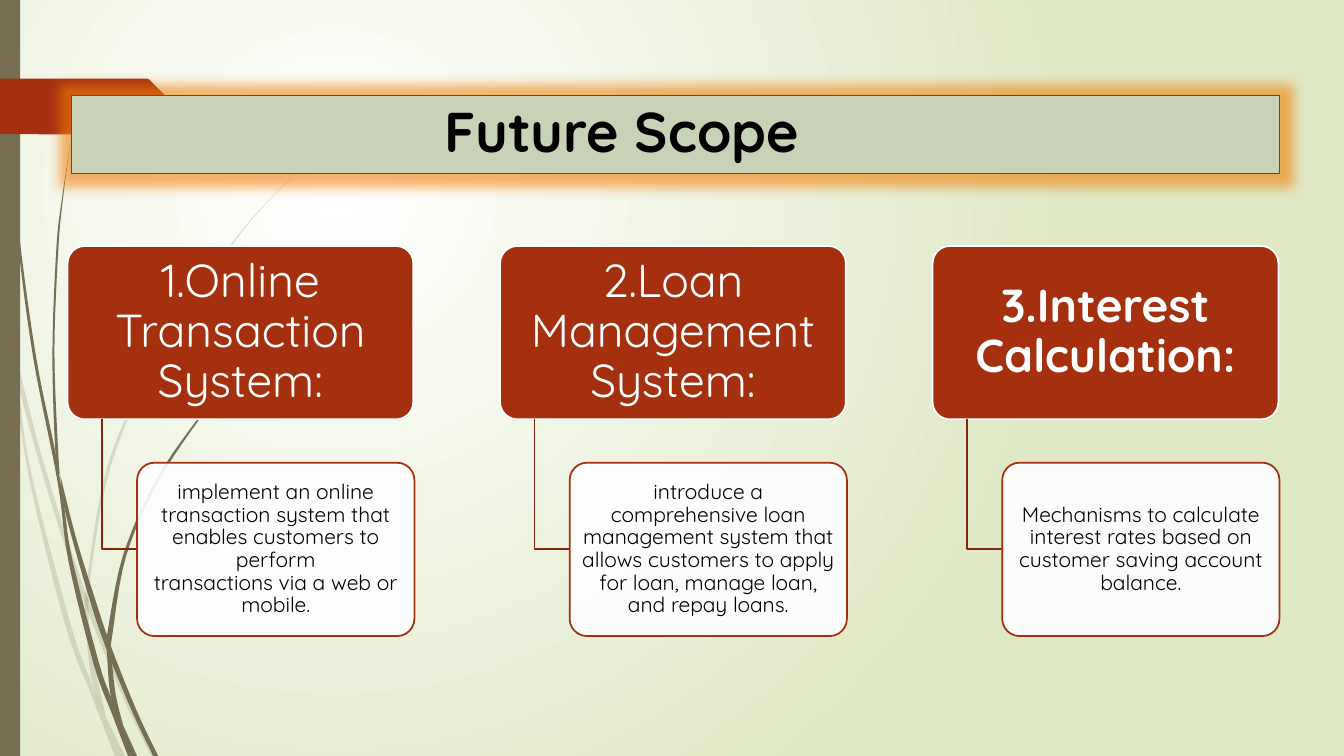
import pptx
import pptx.dml.color
import pptx.enum.shapes
import pptx.enum.text
import pptx.oxml
import pptx.oxml.ns
import pptx.util
from pptx.util import Inches

FONT = "Quicksand"
RUST, OLIVE = "A53010", "766F54"
A_NS = pptx.oxml.ns.nsdecls("a")

SCOPE = [
    ("1.Online Transaction System:", False,
     "implement an online transaction system that enables customers to perform\v"
     "transactions via a web or mobile."),
    ("2.Loan Management System:", False,
     "introduce a comprehensive loan management system that allows customers "
     "to apply for loan, manage loan, and repay loans."),
    ("3.Interest Calculation:", True,
     "Mechanisms to calculate interest rates based on customer saving account balance."),
]

PALE_STRANDS = [
    ([(0, 2.99), (0.11, 3.5), (0.28, 4.7), (0.65, 6.21), (0.92, 6.93), (1.14, 7.5)],
     [(0, 2.82), (0.09, 3.22), (0.17, 3.76), (0.31, 4.69), (0.7, 6.19), (0.93, 6.83),
      (1.05, 7.11), (1.24, 7.5)]),
    ([(0.14, 3.45), (0.17, 3.76), (0.36, 4.49), (0.58, 5.22), (0.84, 5.99), (1.23, 6.94),
      (1.5, 7.5)],
     [(0.14, 3.45), (0.36, 4.33), (0.62, 5.2), (0.92, 6.07), (1.27, 6.92), (1.55, 7.5)]),
    ([(3.12, 1.53), (2.68, 1.97), (2.28, 2.44), (1.58, 3.48), (1.07, 4.61), (0.85, 5.84)],
     [(3.12, 1.54), (2.68, 1.98), (2.29, 2.45), (1.6, 3.49), (1.1, 4.62), (0.88, 5.84),
      (0.88, 5.96)]),
    ([(0.85, 5.86), (0.84, 5.99), (0.87, 6.46), (0.93, 6.83), (1.05, 7.11)],
     [(0.88, 5.96), (0.88, 6.1), (0.91, 6.46), (1.05, 7.11)]),
]
DARK_STRANDS = [
    ([(0.03, 0), (0.04, 0.48), (0.07, 1.1), (0.17, 2.33), (0.33, 3.55), (0.57, 4.77),
      (0.68, 5.57), (0.93, 6.59), (1.11, 7.08), (1.27, 7.5)],
     [(0.04, 0), (0.05, 0.48), (0.08, 1.09), (0.19, 2.32), (0.36, 3.55), (0.55, 4.49),
      (0.64, 5.05), (0.72, 5.56), (0.98, 6.57), (1.1, 6.91), (1.22, 7.19), (1.36, 7.5)]),
    ([(0.6, 4.72), (0.64, 5.05), (0.88, 5.92), (1.06, 6.45), (1.32, 7.08), (1.52, 7.5)],
     [(0.6, 4.72), (0.75, 5.32), (0.93, 5.9), (1.1, 6.41), (1.36, 7.06), (1.57, 7.5)]),
    ([(0.7, 1.41), (0.62, 1.93), (0.56, 2.45), (0.52, 3.49), (0.55, 4.49), (0.6, 4.72)],
     [(0.7, 1.41), (0.63, 1.93), (0.58, 2.45), (0.54, 3.49), (0.58, 4.53), (0.6, 4.72)]),
    ([(2.6, 3.44), (2.31, 3.73), (2.04, 4.05), (1.56, 4.74), (1.22, 5.51), (1.06, 6.31)],
     [(2.61, 3.44), (2.31, 3.74), (2.05, 4.06), (1.58, 4.76), (1.25, 5.52), (1.11, 6.33),
      (1.1, 6.41)]),
    ([(1.06, 6.31), (1.06, 6.45), (1.1, 6.91), (1.22, 7.19)],
     [(1.1, 6.41), (1.11, 6.56), (1.15, 6.9), (1.22, 7.19)]),
]


def rgb(value):
    """Return the colour for a hex string."""
    return pptx.dml.color.RGBColor.from_string(value)


def paint(sp, fill=None, line=None, width=1.25, alpha=100):
    """Set fill, opacity and outline of a shape, without shadow."""
    sp.shadow.inherit = False
    if fill:
        sp.fill.solid()
        sp.fill.fore_color.rgb = rgb(fill)
        if alpha < 100:
            clr = sp.element.spPr.find(".//" + pptx.oxml.ns.qn("a:srgbClr"))
            clr.append(pptx.oxml.parse_xml(f'<a:alpha {A_NS} val="{alpha * 1000}"/>'))
    else:
        sp.fill.background()
    if line:
        sp.line.color.rgb = rgb(line)
        sp.line.width = pptx.util.Pt(width)
    else:
        sp.line.fill.background()


def smooth(points, steps=6):
    """Return points along a Catmull-Rom curve through the given points."""
    padded = [points[0], *points, points[-1]]
    curve = []
    for a, b, c, d in zip(padded, padded[1:], padded[2:], padded[3:]):
        for i in range(steps):
            t = i / steps
            curve.append(tuple(
                q + t * (r - p + t * (2 * p - 5 * q + 4 * r - u
                                      + t * (3 * q - p - 3 * r + u))) / 2
                for p, q, r, u in zip(a, b, c, d)))
    return curve + [points[-1]]


def add_outline(s, points, close=True):
    """Draw a freeform through points given in inches."""
    first, *rest = [(Inches(x), Inches(y)) for x, y in points]
    builder = s.shapes.build_freeform(*first)
    builder.add_line_segments(rest, close=close)
    return builder.convert_to_shape()


def add_strands(s, strands, alpha):
    """Draw grass strands, each between a left and a right edge."""
    for left, right in strands:
        sp = add_outline(s, smooth(left) + smooth(right)[::-1])
        paint(sp, OLIVE, alpha=alpha)


def set_text(sp, text, size, color, inset, bold=False):
    """Put centred text into a shape with horizontal and vertical insets."""
    tf = sp.text_frame
    tf.word_wrap = True
    tf.vertical_anchor = pptx.enum.text.MSO_ANCHOR.MIDDLE
    tf.margin_left = tf.margin_right = Inches(inset[0])
    tf.margin_top = tf.margin_bottom = Inches(inset[1])
    p = tf.paragraphs[0]
    p.text = text
    p.alignment = pptx.enum.text.PP_ALIGN.CENTER
    p.line_spacing = 0.9
    p.font.name = FONT
    p.font.size = pptx.util.Pt(size)
    p.font.bold = bold
    p.font.color.rgb = rgb(color)


def add_card(s, x, y, w, fill, line, alpha=100):
    """Add a rounded card of the common height."""
    sp = s.shapes.add_shape(pptx.enum.shapes.MSO_SHAPE.ROUNDED_RECTANGLE,
                            Inches(x), Inches(y), Inches(w), Inches(1.72))
    sp.adjustments[0] = 0.1
    paint(sp, fill, line, alpha=alpha)
    return sp


def add_scope(s, x, heading, bold, detail):
    """Add a heading card with its detail card hanging from an elbow line."""
    set_text(add_card(s, x, 2.44, 3.43, RUST, "FFFFFF"),
             heading, 33, "FFFFFF", (0.07, 0.05), bold)
    elbow = add_outline(s, [(x + 0.34, 4.16), (x + 0.34, 5.45), (x + 0.69, 5.45)], False)
    paint(elbow, line="84260D")
    set_text(add_card(s, x + 0.69, 4.59, 2.75, "FFFFFF", RUST, 90),
             detail, 15, "000000", (0.03, 0.02))


def set_background(s):
    """Fill the background with a circular white-to-green gradient."""
    fill = s.background.fill
    fill.gradient()
    for stop, color in zip(fill.gradient_stops, ("FFFFFF", "DFE8C4")):
        stop.color.rgb = rgb(color)
    lin = s.element.find(".//" + pptx.oxml.ns.qn("a:lin"))
    lin.getparent().replace(lin, pptx.oxml.parse_xml(
        f'<a:path {A_NS} path="circle">'
        '<a:fillToRect l="50000" t="50000" r="100000" b="100000"/></a:path>'))


def set_title(s, text):
    """Format the title as a glowing banner in front of the decoration."""
    sp = s.shapes.title
    sp.left, sp.top, sp.width, sp.height = map(Inches, (0.71, 0.95, 11.98, 0.77))
    sp.element.getparent().append(sp.element)
    set_text(sp, text, 40, "000000", (0.1, 0.05), True)
    sp.text_frame.auto_size = pptx.enum.text.MSO_AUTO_SIZE.NONE
    sp.text_frame.margin_left = Inches(3.7)
    sp.text_frame.paragraphs[0].alignment = pptx.enum.text.PP_ALIGN.LEFT
    paint(sp, "C7D2B7", RUST, 0.75)
    effects = sp.element.spPr.find(pptx.oxml.ns.qn("a:effectLst"))
    effects.append(pptx.oxml.parse_xml(
        f'<a:glow {A_NS} rad="228600"><a:srgbClr val="F07F09">'
        '<a:alpha val="60000"/></a:srgbClr></a:glow>'))


def main():
    """Build the slide and save it."""
    prs = pptx.Presentation()
    prs.slide_width, prs.slide_height = Inches(13.33), Inches(7.5)
    s = prs.slides.add_slide(prs.slide_layouts[5])
    set_background(s)
    add_strands(s, PALE_STRANDS, 20)
    add_strands(s, DARK_STRANDS, 100)
    bar = s.shapes.add_shape(pptx.enum.shapes.MSO_SHAPE.RECTANGLE,
                             0, 0, Inches(0.2), Inches(7.5))
    paint(bar, OLIVE)
    ribbon = add_outline(s, [(0, 0.78), (1.46, 0.78), (1.48, 0.79), (1.73, 1.04),
                             (1.73, 1.08), (1.48, 1.33), (1.46, 1.34), (0, 1.33)])
    paint(ribbon, RUST)
    for i, scope in enumerate(SCOPE):
        add_scope(s, 0.67 + 4.29 * i, *scope)
    set_title(s, "Future Scope")
    prs.save("out.pptx")


if __name__ == "__main__":
    main()
